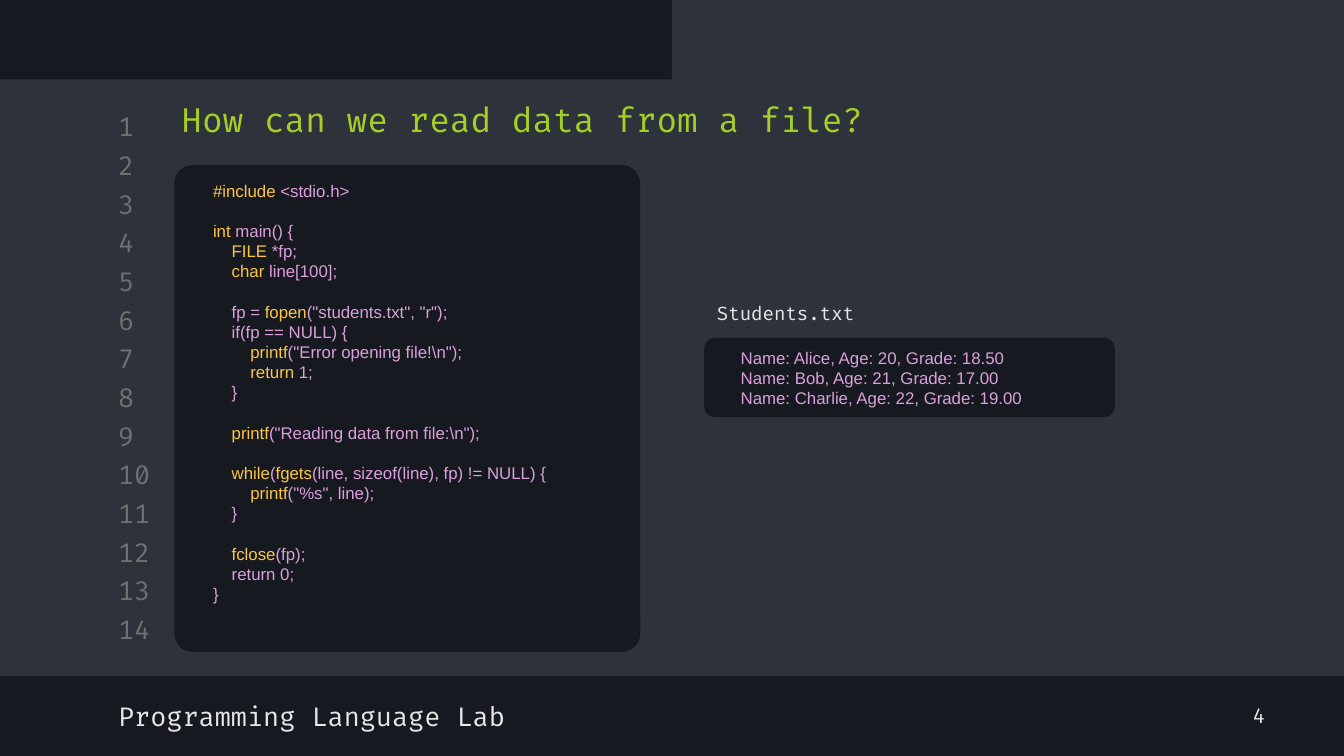
"""Build a slide that shows how a C program reads data from a file."""
import pptx
import pptx.dml.color
import pptx.enum.shapes
import pptx.enum.text
import pptx.util

Pt = pptx.util.Pt
Anchor = pptx.enum.text.MSO_ANCHOR
ShapeType = pptx.enum.shapes.MSO_SHAPE

theme = {
    "colors": {
        name: pptx.dml.color.RGBColor.from_string(value)
        for name, value in {
            "dark": "16191F", "panel": "2E323B", "number": "707070",
            "title": "A5CF27", "light": "E7E7E7",
            "keyword": "FCC642", "code": "DBA0DB",
        }.items()
    },
    "sizes": {"title": 18, "footer": 14, "number": 14, "page": 11, "label": 10, "code": 9},
    "fonts": {"mono": "Fira Code", "code": "Arial"},
}
colors, sizes, fonts = theme["colors"], theme["sizes"], theme["fonts"]
code_pitch = 10.8

code = r"""`#include `<stdio.h>

`int` main() {
    `FILE` *fp;
    `char` line[100];

    fp = `fopen`("students.txt", "r");
    if(fp == NULL) {
        `printf`("Error opening file!\n");
        `return` 1;
    }

    `printf`("Reading data from file:\n");

    `while`(`fgets`(line, sizeof(line), fp) != NULL) {
        `printf`("%s", line);
    }

    `fclose`(fp);
    return 0;
}"""

students = """Name: Alice, Age: 20, Grade: 18.50
Name: Bob, Age: 21, Grade: 17.00
Name: Charlie, Age: 22, Grade: 19.00"""


def add_panel(kind, box, color):
    shape = slide.shapes.add_shape(kind, *map(Pt, box))
    shape.shadow.inherit = False
    shape.fill.solid()
    shape.fill.fore_color.rgb = colors[color]
    shape.line.fill.background()
    return shape


def write_line(shape, text, size, color, anchor=Anchor.MIDDLE):
    frame = shape.text_frame
    frame_format = {
        "word_wrap": True, "auto_size": pptx.enum.text.MSO_AUTO_SIZE.NONE,
        "vertical_anchor": anchor, "margin_left": Pt(7.2), "margin_right": Pt(7.2),
        "margin_top": Pt(7.2), "margin_bottom": Pt(7.2),
    }
    for name, value in frame_format.items():
        setattr(frame, name, value)
    frame.text = text
    paragraph = frame.paragraphs[0]
    paragraph.alignment = pptx.enum.text.PP_ALIGN.LEFT
    font = paragraph.runs[0].font
    for name, value in {"name": fonts["mono"], "size": Pt(sizes[size])}.items():
        setattr(font, name, value)
    font.color.rgb = colors[color]


presentation = pptx.Presentation()
presentation.slide_width, presentation.slide_height = Pt(720), Pt(405)
slide = presentation.slides.add_slide(presentation.slide_layouts[5])
slide.background.fill.solid()
slide.background.fill.fore_color.rgb = colors["dark"]

title = slide.shapes.title
title_box = {"left": 90, "top": 46, "width": 574, "height": 42.5}
for name, value in title_box.items():
    setattr(title, name, Pt(value))
write_line(title, "How can we read data from a file?", "title", "title", Anchor.TOP)

for box in [(0, 42.5, 720, 319.7), (360, 0, 360, 47)]:
    background_panel = add_panel(ShapeType.RECTANGLE, box, "panel")
    slide.shapes._spTree.remove(background_panel._element)
    title._element.addprevious(background_panel._element)

labels = [
    ((56.2, 59 + 20.72 * index, 33.8, 17.28), str(index + 1), "number", "number", Anchor.MIDDLE)
    for index in range(14)
] + [
    ((377, 157.7, 100, 20), "Students.txt", "label", "light", Anchor.MIDDLE),
    ((56.2, 369.4, 383, 28), "Programming Language Lab", "footer", "light", Anchor.MIDDLE),
    ((664, 369.4, 25, 28), "4", "page", "light", Anchor.MIDDLE),
]
for box, text, size, color, anchor in labels:
    label = slide.shapes.add_textbox(*map(Pt, box))
    write_line(label, text, size, color, anchor)

code_panels = [
    ((93.4, 88.5, 249.6, 260.8), 0.039, code, Anchor.TOP, 5.4),
    ((377.2, 181, 220, 42.5), 0.138, students, Anchor.MIDDLE, 3.6),
]
for box, corner, source, anchor, margin_top in code_panels:
    panel = add_panel(ShapeType.ROUNDED_RECTANGLE, box, "dark")
    panel.adjustments[0] = corner
    frame = panel.text_frame
    for name, value in {"word_wrap": True, "vertical_anchor": anchor, "margin_top": Pt(margin_top)}.items():
        setattr(frame, name, value)
    paragraph, gap = frame.paragraphs[0], 0
    for line in source.split("\n"):
        if not line:
            gap = code_pitch
            continue
        if paragraph.runs:
            paragraph = frame.add_paragraph()
        paragraph._p.get_or_add_pPr().set("marL", str(Pt(10.8)))
        paragraph_format = {
            "alignment": pptx.enum.text.PP_ALIGN.LEFT,
            "line_spacing": Pt(code_pitch), "space_before": Pt(gap),
        }
        for name, value in paragraph_format.items():
            setattr(paragraph, name, value)
        gap = 0
        for index, part in enumerate(line.split("`")):
            if part:
                run = paragraph.add_run()
                run.text = part
                for name, value in {"name": fonts["code"], "size": Pt(sizes["code"])}.items():
                    setattr(run.font, name, value)
                run.font.color.rgb = colors["keyword" if index % 2 else "code"]

presentation.save("out.pptx")
